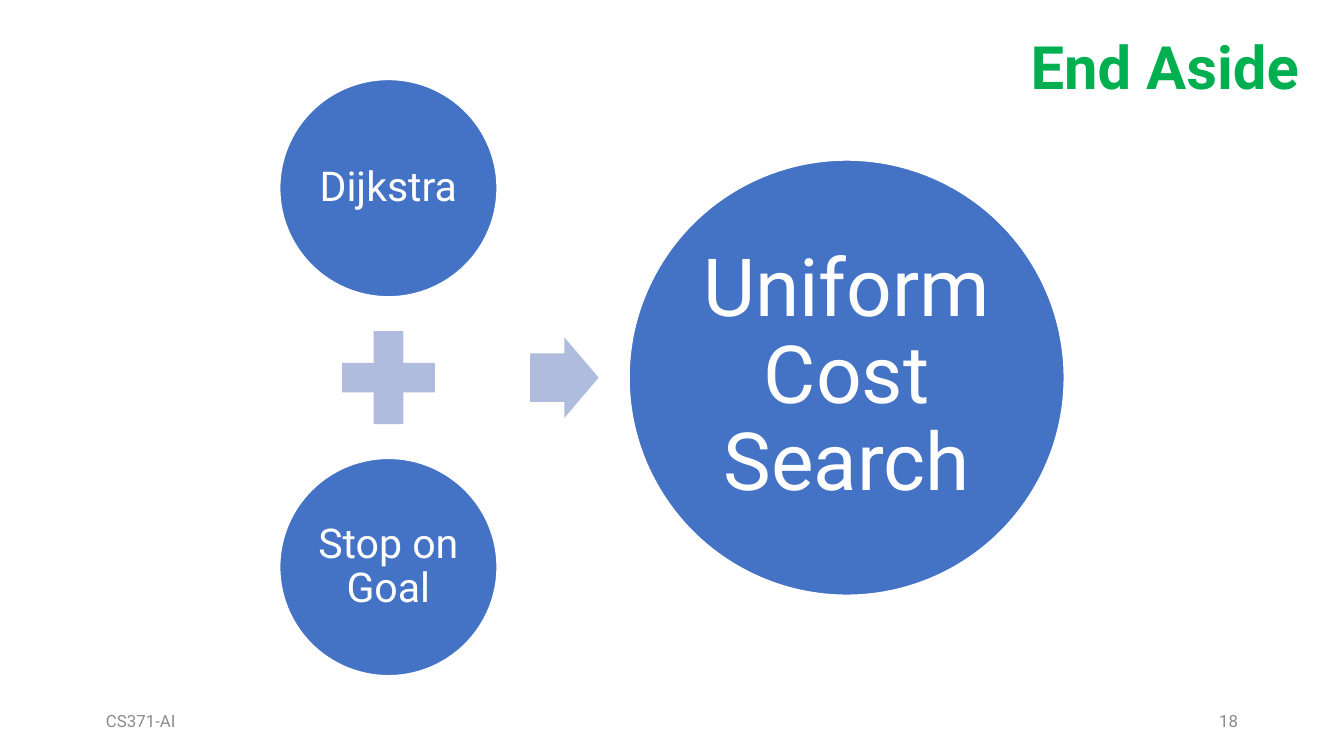
from pptx import Presentation
from pptx.dml.color import RGBColor
from pptx.enum.shapes import MSO_SHAPE
from pptx.enum.text import MSO_ANCHOR, PP_ALIGN
from pptx.util import Inches, Pt

OVAL, PLUS, ARROW = MSO_SHAPE.OVAL, MSO_SHAPE.MATH_PLUS, MSO_SHAPE.RIGHT_ARROW
LEFT, CENTER, RIGHT = PP_ALIGN.LEFT, PP_ALIGN.CENTER, PP_ALIGN.RIGHT
TOP, MIDDLE = MSO_ANCHOR.TOP, MSO_ANCHOR.MIDDLE

W = 10
H = W * 9 / 16
FONT = "Roboto"
BLUE, PALE, WHITE = "4472C4", "B0BCDE", "FFFFFF"
GREEN, GRAY = "00B050", "8C8C8C"


def rgb(value):
    return RGBColor.from_string(value)


def write(sp, text, size, color, align, anchor, bold=False):
    tf = sp.text_frame
    tf.text = text
    tf.word_wrap = True
    tf.vertical_anchor = anchor
    p = tf.paragraphs[0]
    p.alignment = align
    font = p.runs[0].font
    font.name, font.size, font.bold = FONT, Pt(size), bold
    font.color.rgb = rgb(color)
    return tf


def add_label(s, box, text, size, color, align=LEFT, anchor=MIDDLE, bold=False):
    sp = s.shapes.add_textbox(*map(Inches, box))
    write(sp, text, size, color, align, anchor, bold)


def add_solid(s, kind, box, color):
    sp = s.shapes.add_shape(kind, *map(Inches, box))
    sp.shadow.inherit = False
    sp.fill.solid()
    sp.fill.fore_color.rgb = rgb(color)
    sp.line.fill.background()
    return sp


def add_circle(s, x, y, d, text, size, inset):
    sp = add_solid(s, OVAL, (x, y, d, d), BLUE)
    sp.line.color.rgb = rgb(WHITE)
    sp.line.width = Pt(1)
    tf = write(sp, text, size, WHITE, CENTER, MIDDLE)
    tf.margin_left = tf.margin_right = Inches(inset)
    tf.margin_top = tf.margin_bottom = Inches(inset)
    tf.paragraphs[0].line_spacing = 0.9


def add_equation(s, x, y, w, h):
    """Two stacked circles joined by a plus, with an arrow to their large result."""
    d = h * 0.365
    big, plus = 2 * d, 0.58 * d
    arrow_w, arrow_h = 0.315 * d, 0.37 * d
    mid = y + h / 2

    add_circle(s, x, y, d, "Dijkstra", 22, 0.03)
    add_solid(s, PLUS, (x + (d - plus) / 2, mid - plus / 2, plus, plus), PALE)
    add_circle(s, x, y + h - d, d, "Stop on Goal", 22, 0.03)
    arrow = add_solid(s, ARROW, (x + 1.15 * d, mid - arrow_h / 2, arrow_w, arrow_h), PALE)
    arrow.adjustments[0] = 0.6
    arrow.adjustments[1] = 0.5
    add_circle(s, x + w - big, mid - d, big, "Uniform Cost Search", 43, 0.06)


def add_footer(s, x, y, w, h):
    part = 2.25
    add_label(s, (x, y, part, h), "CS371-AI", 9, GRAY)
    add_label(s, (x + w - part, y, part, h), "18", 9, GRAY, RIGHT)


def main():
    prs = Presentation()
    prs.slide_width, prs.slide_height = Inches(W), Inches(H)
    s = prs.slides.add_slide(prs.slide_layouts[6])
    margin = 0.69
    add_footer(s, margin, 5.21, W - 2 * margin, 0.3)
    add_label(s, (7.57, 0.17, 2.37, 0.64), "End Aside", 32, GREEN, anchor=TOP, bold=True)
    add_equation(s, 2.08, 0.59, W - 2 * 2.08, 4.44)
    prs.save("out.pptx")


if __name__ == "__main__":
    main()
